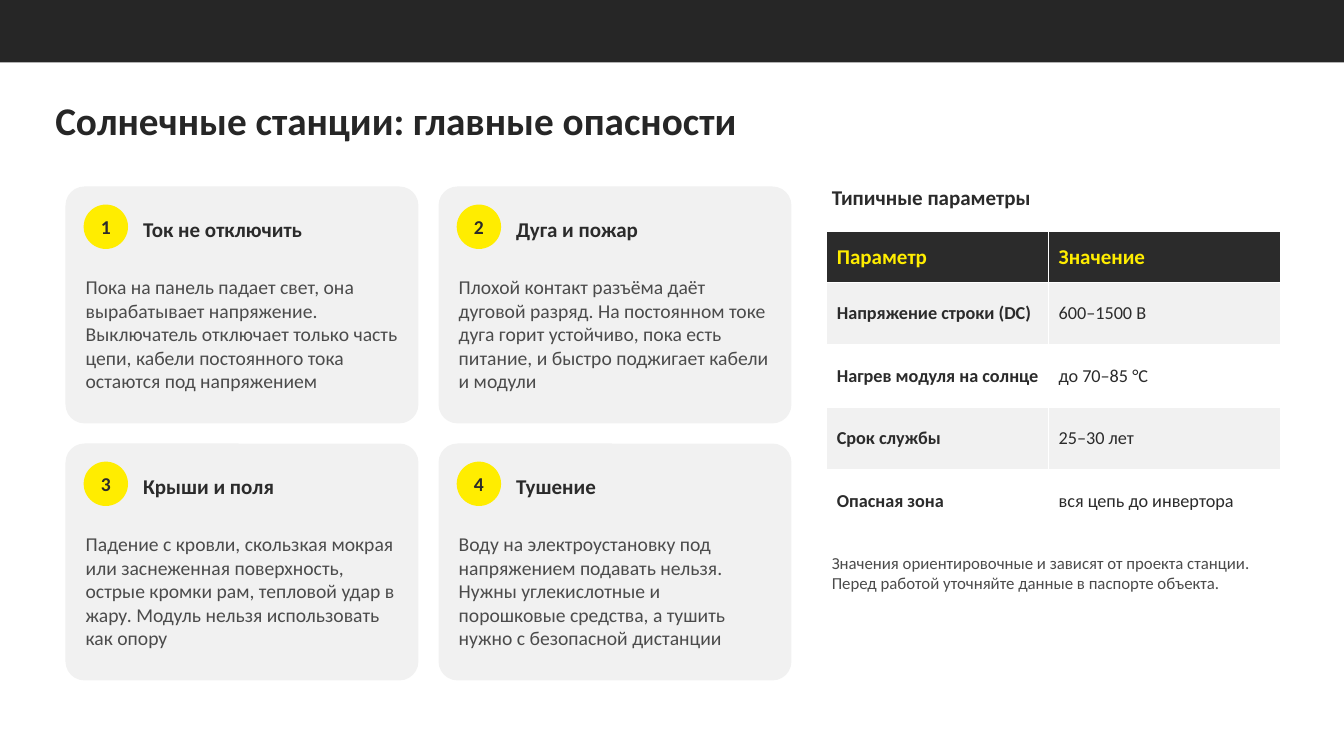
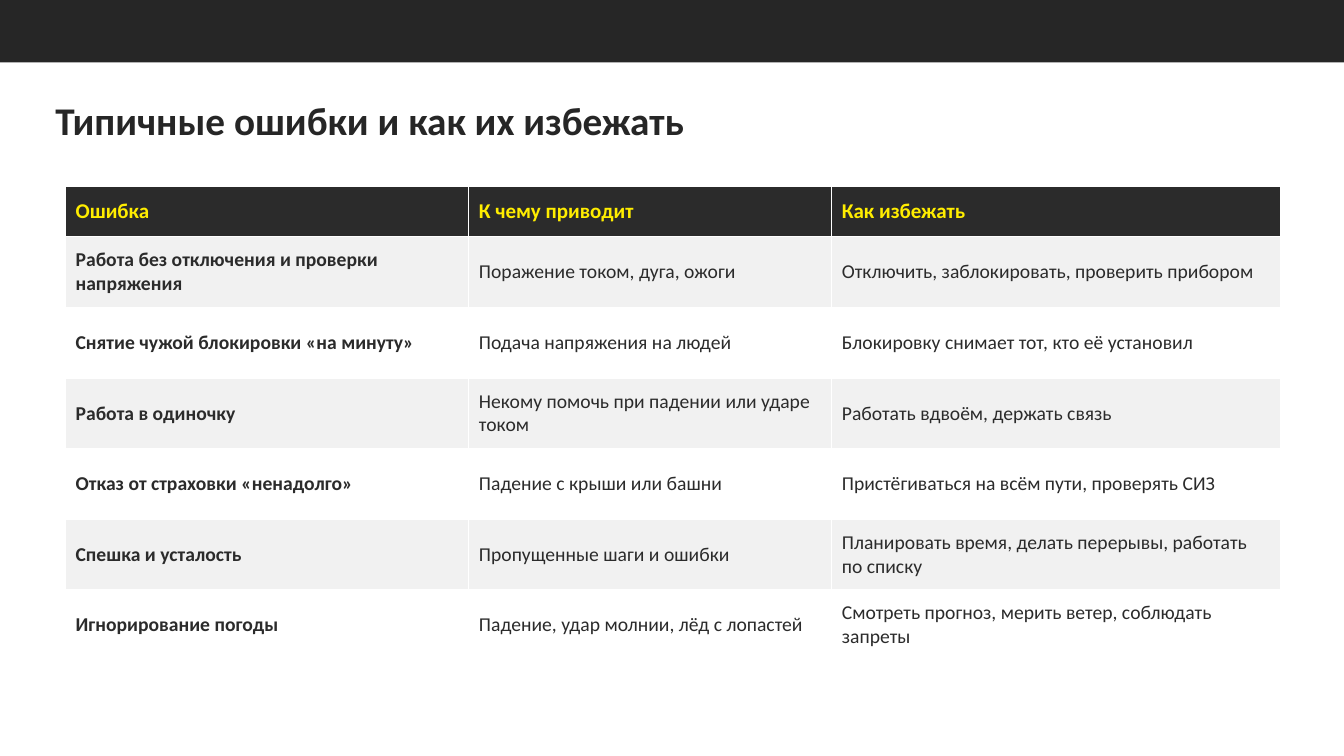
from pptx import Presentation
from pptx.dml.color import RGBColor
from pptx.enum.shapes import MSO_SHAPE
from pptx.enum.text import MSO_ANCHOR, MSO_AUTO_SIZE, PP_ALIGN
from pptx.util import Emu, Pt

PX = 9144
FONT = "Calibri"
BAND = RGBColor(0x26, 0x26, 0x26)
INK = RGBColor(0x2B, 0x2B, 0x2B)
BODY = RGBColor(0x4B, 0x4B, 0x4B)
PANEL = RGBColor(0xF1, 0xF1, 0xF1)
YELLOW = RGBColor(0xFF, 0xED, 0x00)
WHITE = RGBColor(0xFF, 0xFF, 0xFF)

SLIDE_WIDTH, SLIDE_HEIGHT = 1333, 750
LEFT, TOP = 65, 185
CARD_WIDTH, CARD_HEIGHT, CARD_GAP = 350, 235, 20
SIDE_LEFT, SIDE_WIDTH = 820, 450
HEADER_HEIGHT = 50

DANGERS_TITLE = "Солнечные станции: главные опасности"
DANGERS = [
    ("Ток не отключить",
     "Пока на панель падает свет, она вырабатывает напряжение. Выключатель отключает "
     "только часть цепи, кабели постоянного тока остаются под напряжением"),
    ("Дуга и пожар",
     "Плохой контакт разъёма даёт дуговой разряд. На постоянном токе дуга горит "
     "устойчиво, пока есть питание, и быстро поджигает кабели и модули"),
    ("Крыши и поля",
     "Падение с кровли, скользкая мокрая или заснеженная поверхность, острые кромки рам, "
     "тепловой удар в жару. Модуль нельзя использовать как опору"),
    ("Тушение",
     "Воду на электроустановку под напряжением подавать нельзя. Нужны углекислотные и "
     "порошковые средства, а тушить нужно с безопасной дистанции"),
]
PARAMETERS_TITLE = "Типичные параметры"
PARAMETERS = [
    ("Параметр", "Значение"),
    ("Напряжение строки (DC)", "600–1500 В"),
    ("Нагрев модуля на солнце", "до 70–85 °C"),
    ("Срок службы", "25–30 лет"),
    ("Опасная зона", "вся цепь до инвертора"),
]
PARAMETERS_NOTE = ("Значения ориентировочные и зависят от проекта станции. "
                   "Перед работой уточняйте данные в паспорте объекта.")

MISTAKES_TITLE = "Типичные ошибки и как их избежать"
MISTAKES = [
    ("Ошибка", "К чему приводит", "Как избежать"),
    ("Работа без отключения и проверки напряжения", "Поражение током, дуга, ожоги",
     "Отключить, заблокировать, проверить прибором"),
    ("Снятие чужой блокировки «на минуту»", "Подача напряжения на людей",
     "Блокировку снимает тот, кто её установил"),
    ("Работа в одиночку", "Некому помочь при падении или ударе током",
     "Работать вдвоём, держать связь"),
    ("Отказ от страховки «ненадолго»", "Падение с крыши или башни",
     "Пристёгиваться на всём пути, проверять СИЗ"),
    ("Спешка и усталость", "Пропущенные шаги и ошибки",
     "Планировать время, делать перерывы, работать по списку"),
    ("Игнорирование погоды", "Падение, удар молнии, лёд с лопастей",
     "Смотреть прогноз, мерить ветер, соблюдать запреты"),
]


def px(*lengths):
    return [Emu(length * PX) for length in lengths]


def write(frame, text, size, color, bold=False):
    para = frame.paragraphs[0]
    para.text = text
    para.font.name = FONT
    para.font.size = Pt(size)
    para.font.bold = bold
    para.font.color.rgb = color
    return para


def set_margins(frame, side, edge):
    frame.margin_left = frame.margin_right = Emu(side * PX)
    frame.margin_top = frame.margin_bottom = Emu(edge * PX)


def add_text(page, place, text, size, color, bold=False, anchor=MSO_ANCHOR.TOP, side=5):
    frame = page.shapes.add_textbox(*px(*place)).text_frame
    frame.word_wrap = True
    frame.auto_size = MSO_AUTO_SIZE.SHAPE_TO_FIT_TEXT
    frame.vertical_anchor = anchor
    set_margins(frame, side, 3)
    write(frame, text, size, color, bold)


def add_shape(page, kind, place, color):
    shape = page.shapes.add_shape(kind, *px(*place))
    shape.shadow.inherit = False
    shape.fill.solid()
    shape.fill.fore_color.rgb = color
    shape.line.fill.background()
    return shape


def add_page(deck, title):
    page = deck.slides.add_slide(deck.slide_layouts[6])
    frame = page.shapes.add_textbox(*px(45, 84, 1150, 75)).text_frame
    frame.word_wrap = True
    frame.vertical_anchor = MSO_ANCHOR.MIDDLE
    write(frame, title, 28, BAND, True).line_spacing = 0.9
    add_shape(page, MSO_SHAPE.RECTANGLE, (0, 0, SLIDE_WIDTH, 62), BAND)
    return page


def add_card(page, index, heading, body):
    row, column = divmod(index, 2)
    left = LEFT + column * (CARD_WIDTH + CARD_GAP)
    top = TOP + row * (CARD_HEIGHT + CARD_GAP)
    card = add_shape(page, MSO_SHAPE.ROUNDED_RECTANGLE,
                     (left, top, CARD_WIDTH, CARD_HEIGHT), PANEL)
    card.adjustments[0] = 0.08
    badge = add_shape(page, MSO_SHAPE.OVAL, (left + 18, top + 18, 44, 44), YELLOW)
    set_margins(badge.text_frame, 0, 3)
    badge.text_frame.vertical_anchor = MSO_ANCHOR.MIDDLE
    write(badge.text_frame, str(index + 1), 14, INK, True).alignment = PP_ALIGN.CENTER
    add_text(page, (left + 75, top + 20, 265, 45), heading, 15, INK, True,
             MSO_ANCHOR.MIDDLE, 2)
    add_text(page, (left + 15, top + 85, 320, 140), body, 14, BODY)


def add_grid(page, left, top, widths, row_height, rows, size):
    height = HEADER_HEIGHT + row_height * (len(rows) - 1)
    table = page.shapes.add_table(len(rows), len(widths),
                                  *px(left, top, sum(widths), height)).table
    for column, width in zip(table.columns, widths):
        column.width = Emu(width * PX)
    for i, texts in enumerate(rows):
        header = i == 0
        table.rows[i].height = Emu((HEADER_HEIGHT if header else row_height) * PX)
        fill = INK if header else PANEL if i % 2 else WHITE
        for j, text in enumerate(texts):
            cell = table.cell(i, j)
            cell.vertical_anchor = MSO_ANCHOR.MIDDLE
            cell.fill.solid()
            cell.fill.fore_color.rgb = fill
            write(cell.text_frame, text, 15 if header else size,
                  YELLOW if header else INK, header or j == 0)


def main():
    deck = Presentation()
    deck.slide_width, deck.slide_height = px(SLIDE_WIDTH, SLIDE_HEIGHT)

    dangers = add_page(deck, DANGERS_TITLE)
    for index, (heading, body) in enumerate(DANGERS):
        add_card(dangers, index, heading, body)
    add_text(dangers, (SIDE_LEFT, 180, SIDE_WIDTH, 50), PARAMETERS_TITLE, 15, INK, True)
    add_grid(dangers, SIDE_LEFT, 230, (220, 230), 62, PARAMETERS, 13)
    add_text(dangers, (SIDE_LEFT, 545, SIDE_WIDTH, 120), PARAMETERS_NOTE, 12, BODY)

    mistakes = add_page(deck, MISTAKES_TITLE)
    add_grid(mistakes, LEFT, TOP, (400, 360, 445), 70, MISTAKES, 14)

    deck.save("out.pptx")


if __name__ == "__main__":
    main()
